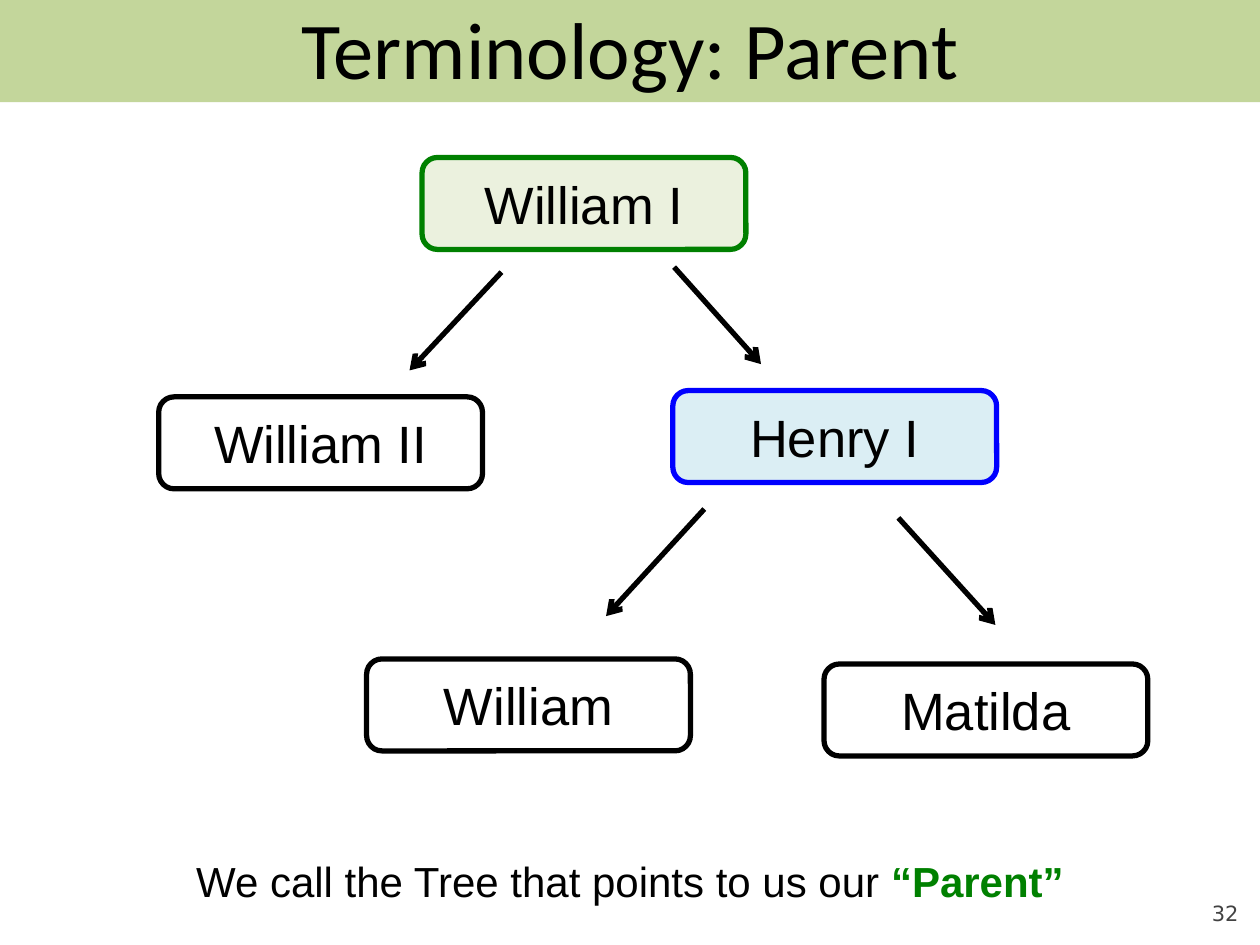
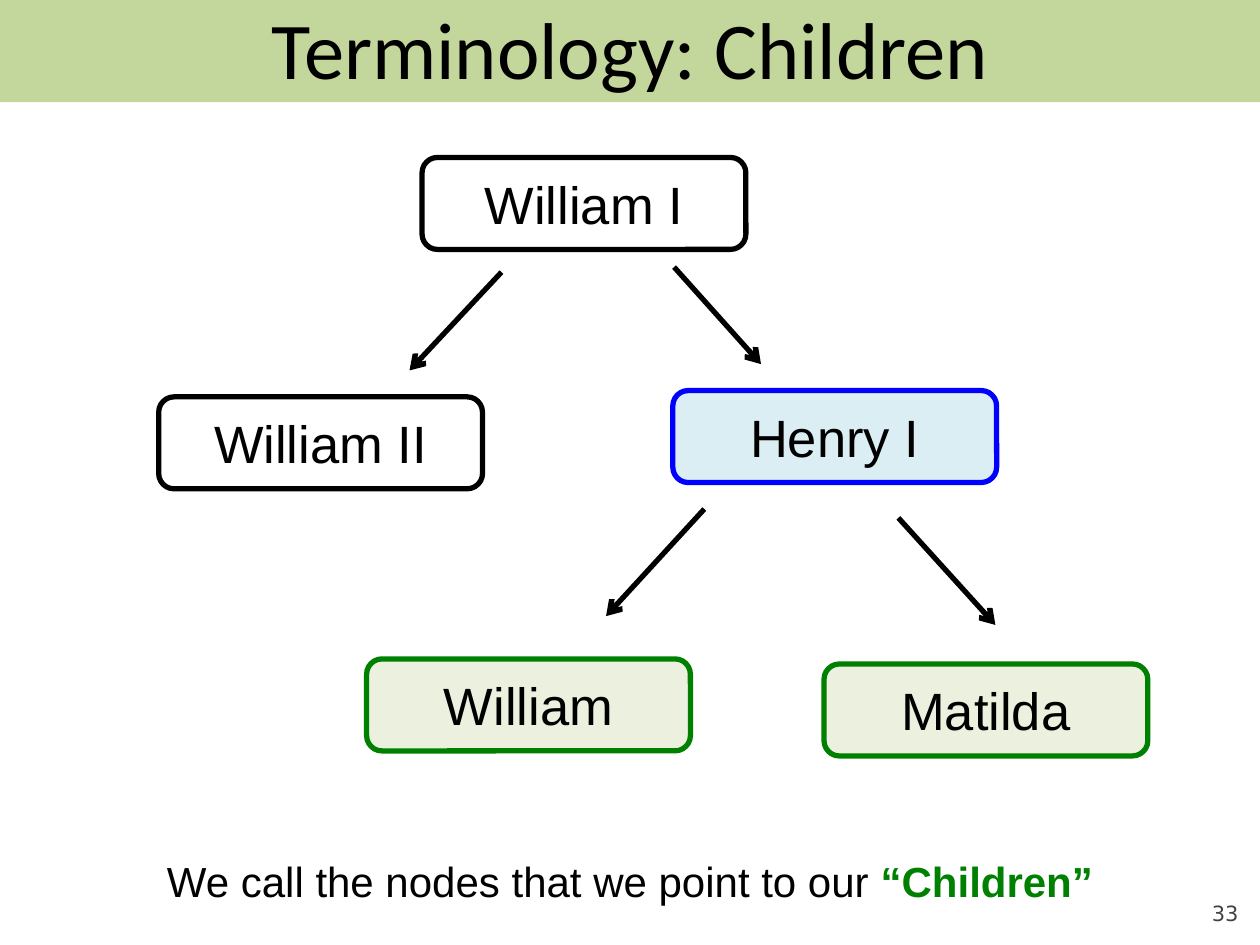
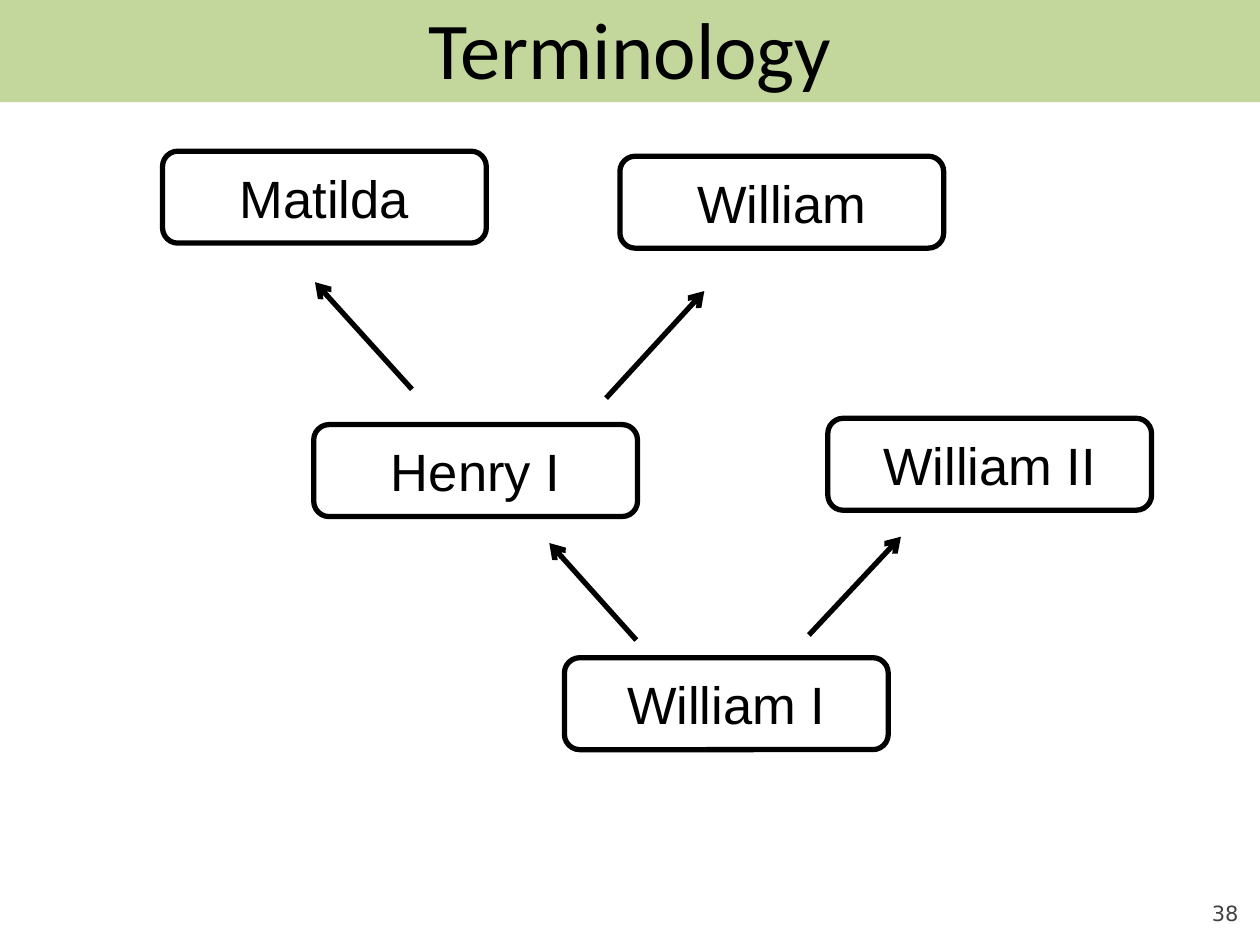
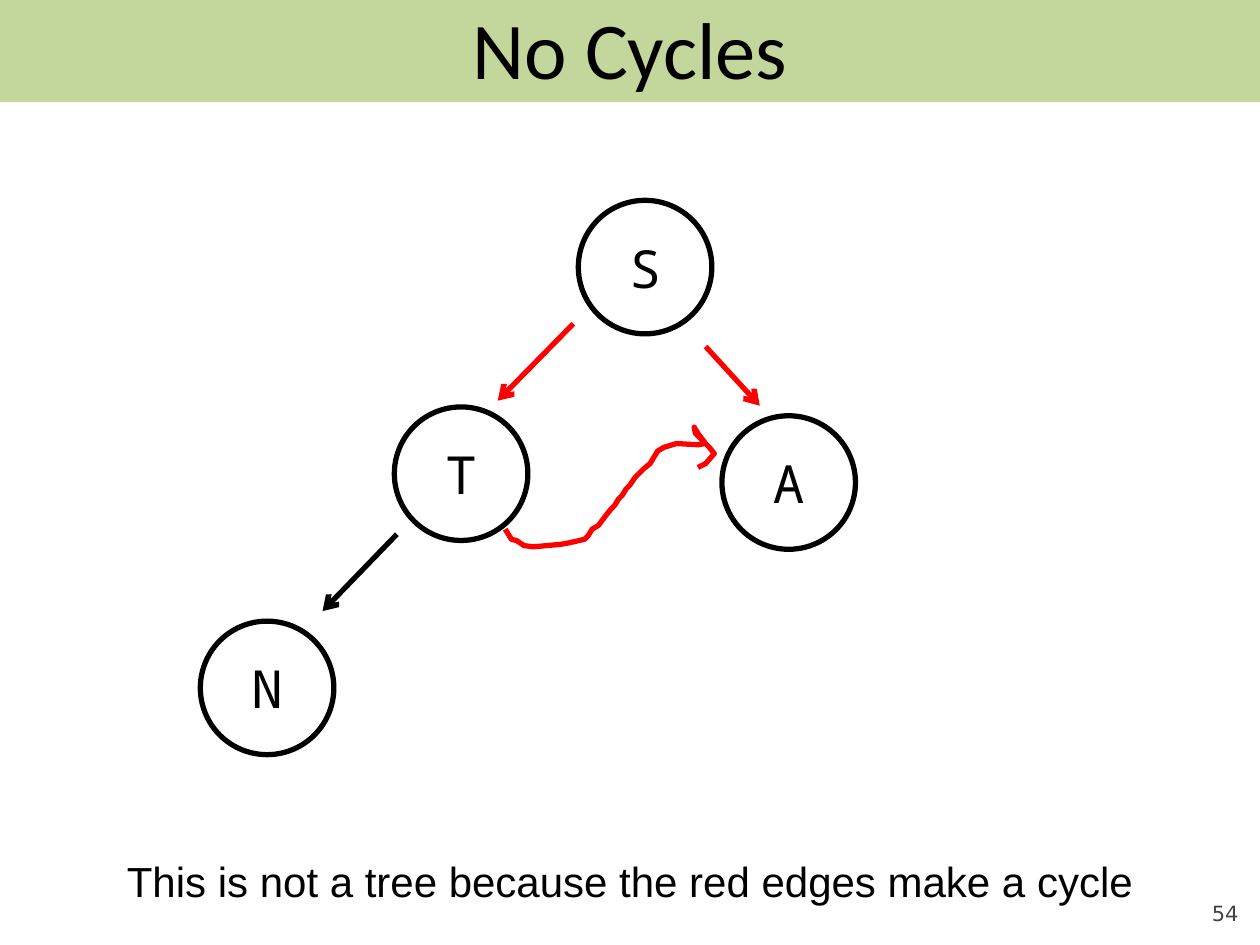
from lxml import etree
from pptx import Presentation
from pptx.dml.color import RGBColor
from pptx.enum.shapes import MSO_CONNECTOR, MSO_SHAPE
from pptx.enum.text import MSO_ANCHOR, MSO_AUTO_SIZE, PP_ALIGN
from pptx.oxml.ns import qn
from pptx.util import Pt

PX = 9144  # EMU per px, 100 px to the inch
WIDTH, HEIGHT = 1000, 750

ROUND_RECT, OVAL = MSO_SHAPE.ROUNDED_RECTANGLE, MSO_SHAPE.OVAL
STRAIGHT = MSO_CONNECTOR.STRAIGHT
TOP, MIDDLE, BOTTOM = MSO_ANCHOR.TOP, MSO_ANCHOR.MIDDLE, MSO_ANCHOR.BOTTOM
CENTER, RIGHT = PP_ALIGN.CENTER, PP_ALIGN.RIGHT
GROW = MSO_AUTO_SIZE.SHAPE_TO_FIT_TEXT

BLACK, RED, GREEN, BLUE = "000000", "FF0000", "008000", "0000FF"
BAND, GREY = "C3D69B", "424242"
PALE_GREEN, PALE_BLUE = "EBF1DE", "DBEEF4"
PLAIN = (None, BLACK)
SELF = (PALE_BLUE, BLUE)
RELATIVE = (PALE_GREEN, GREEN)

TREE_W, TREE_H = 785, 475
NODE_W, NODE_H = 257, 73
FAMILY = {
    "William I": (209, 0),
    "William II": (0, 190),
    "Henry I": (408, 185),
    "William": (165, 398),
    "Matilda": (528, 402),
}
FAMILY_ARROWS = [
    ((272, 91), (199, 169)),
    ((433, 279), (355, 364)),
    ((587, 286), (664, 371)),
    ((409, 87), (478, 164)),
]

CIRCLE = 106
LETTERS = {"S": (300, 0), "T": (154, 164), "A": (414, 171), "N": (0, 334)}
LETTER_ARROWS = [
    ((296, 98), (236, 159), RED),
    ((401, 116), (444, 163), RED),
    ((156, 265), (97, 326), BLACK),
]
CYCLE_EDGE = [
    (242, 261), (247, 269), (251, 270), (257, 274), (264, 275), (286, 273),
    (292, 272), (305, 269), (308, 266), (311, 261), (316, 258), (322, 250),
    (326, 245), (329, 242), (332, 237), (335, 234), (338, 229), (341, 226),
    (345, 220), (348, 217), (352, 213), (357, 209), (360, 204), (363, 199),
    (368, 196), (378, 193), (395, 194), (401, 193), (395, 185), (392, 180),
    (393, 185), (401, 193), (404, 196), (408, 201), (401, 209), (395, 212),
]


def emu(*lengths):
    return [n * PX for n in lengths]


def rgb(color):
    return RGBColor.from_string(color)


def write(tf, runs, size, font, align=CENTER, anchor=MIDDLE):
    """Fill a text frame with one paragraph of (text, color, bold) runs."""
    tf.word_wrap = True
    tf.vertical_anchor = anchor
    p = tf.paragraphs[0]
    p.alignment = align
    for text, color, bold in runs:
        r = p.add_run()
        r.text = text
        r.font.size = Pt(size)
        r.font.name = font
        r.font.bold = bold
        r.font.color.rgb = rgb(color)


def add_text(s, box, *args, **kwargs):
    tf = s.shapes.add_textbox(*emu(*box)).text_frame
    write(tf, *args, **kwargs)
    return tf


def add_page(prs, title, number):
    s = prs.slides.add_slide(prs.slide_layouts[6])
    tf = add_text(s, (900, 695, 83, 40), [(str(number), GREY, False)],
                  12, "DejaVu Sans", RIGHT, BOTTOM)
    tf.margin_left = tf.margin_top = tf.margin_right = tf.margin_bottom = 0
    band = s.shapes.add_shape(ROUND_RECT, *emu(0, 0, WIDTH, 81))
    band.adjustments[0] = 0
    band.shadow.inherit = False
    band.fill.solid()
    band.fill.fore_color.rgb = rgb(BAND)
    band.line.fill.background()
    add_text(s, (50, 0, 900, 75), [(title, BLACK, False)], 46, "Calibri")
    return s


def add_caption(s, text, term=None):
    runs = [(text, BLACK, False)]
    if term:
        runs.append((term, GREEN, True))
    tf = add_text(s, (0, 674, WIDTH, 50), runs, 24, "Arial", anchor=TOP)
    tf.auto_size = GROW


def add_node(shapes, kind, box, label, font, style=PLAIN):
    fill, line = style
    sp = shapes.add_shape(kind, *emu(*box))
    sp.shadow.inherit = False
    if fill:
        sp.fill.solid()
        sp.fill.fore_color.rgb = rgb(fill)
    else:
        sp.fill.background()
    sp.line.color.rgb = rgb(line)
    sp.line.width = Pt(3)
    write(sp.text_frame, [(label, BLACK, False)], 30, font)


def add_arrow(shapes, start, end, color=BLACK):
    c = shapes.add_connector(STRAIGHT, *emu(*start, *end))
    c.line.color.rgb = rgb(color)
    c.line.width = Pt(3)
    etree.SubElement(c.line._get_or_add_ln(), qn("a:tailEnd"), type="arrow")
    etree.SubElement(c._element.spPr, qn("a:effectLst"))


def add_family_tree(shapes, left, top, styles, flipped=False):
    """Draw the family tree; flipped turns the layout by half a circle."""
    def place(x, y, w=0, h=0):
        if flipped:
            x, y = TREE_W - x - w, TREE_H - y - h
        return left + x, top + y

    for name, (x, y) in FAMILY.items():
        box = (*place(x, y, NODE_W, NODE_H), NODE_W, NODE_H)
        add_node(shapes, ROUND_RECT, box, name, "Arial", styles.get(name, PLAIN))
    for start, end in FAMILY_ARROWS:
        add_arrow(shapes, place(*start), place(*end))


def add_letter_graph(shapes, left, top):
    for letter, (x, y) in LETTERS.items():
        add_node(shapes, OVAL, (left + x, top + y, CIRCLE, CIRCLE),
                 letter, "Noto Sans Mono")
    for (x1, y1), (x2, y2), color in LETTER_ARROWS:
        add_arrow(shapes, (left + x1, top + y1), (left + x2, top + y2), color)


def add_cycle_edge(shapes, left, top):
    builder = shapes.build_freeform(*CYCLE_EDGE[0], scale=PX)
    builder.add_line_segments(CYCLE_EDGE[1:], close=False)
    sp = builder.convert_to_shape(*emu(left, top))
    sp.shadow.inherit = False
    sp.fill.background()
    sp.line.color.rgb = rgb(RED)
    sp.line.width = Pt(3)


def main():
    prs = Presentation()
    prs.slide_width, prs.slide_height = emu(WIDTH, HEIGHT)

    s = add_page(prs, "Terminology: Parent", 32)
    add_family_tree(s.shapes, 126, 125, {"Henry I": SELF, "William I": RELATIVE})
    add_caption(s, "We call the Tree that points to us our ", "“Parent”")

    s = add_page(prs, "Terminology: Children", 33)
    add_family_tree(s.shapes, 126, 125, {
        "Henry I": SELF, "William": RELATIVE, "Matilda": RELATIVE})
    add_caption(s, "We call the nodes that we point to our ", "“Children”")

    s = add_page(prs, "Terminology", 38)
    add_family_tree(s.shapes.add_group_shape().shapes, 129, 120, {}, flipped=True)

    s = add_page(prs, "No Cycles", 54)
    add_letter_graph(s.shapes, 159, 159)
    add_caption(s, "This is not a tree because the red edges make a cycle")
    add_cycle_edge(s.shapes, 159, 159)

    prs.save("out.pptx")


if __name__ == "__main__":
    main()
